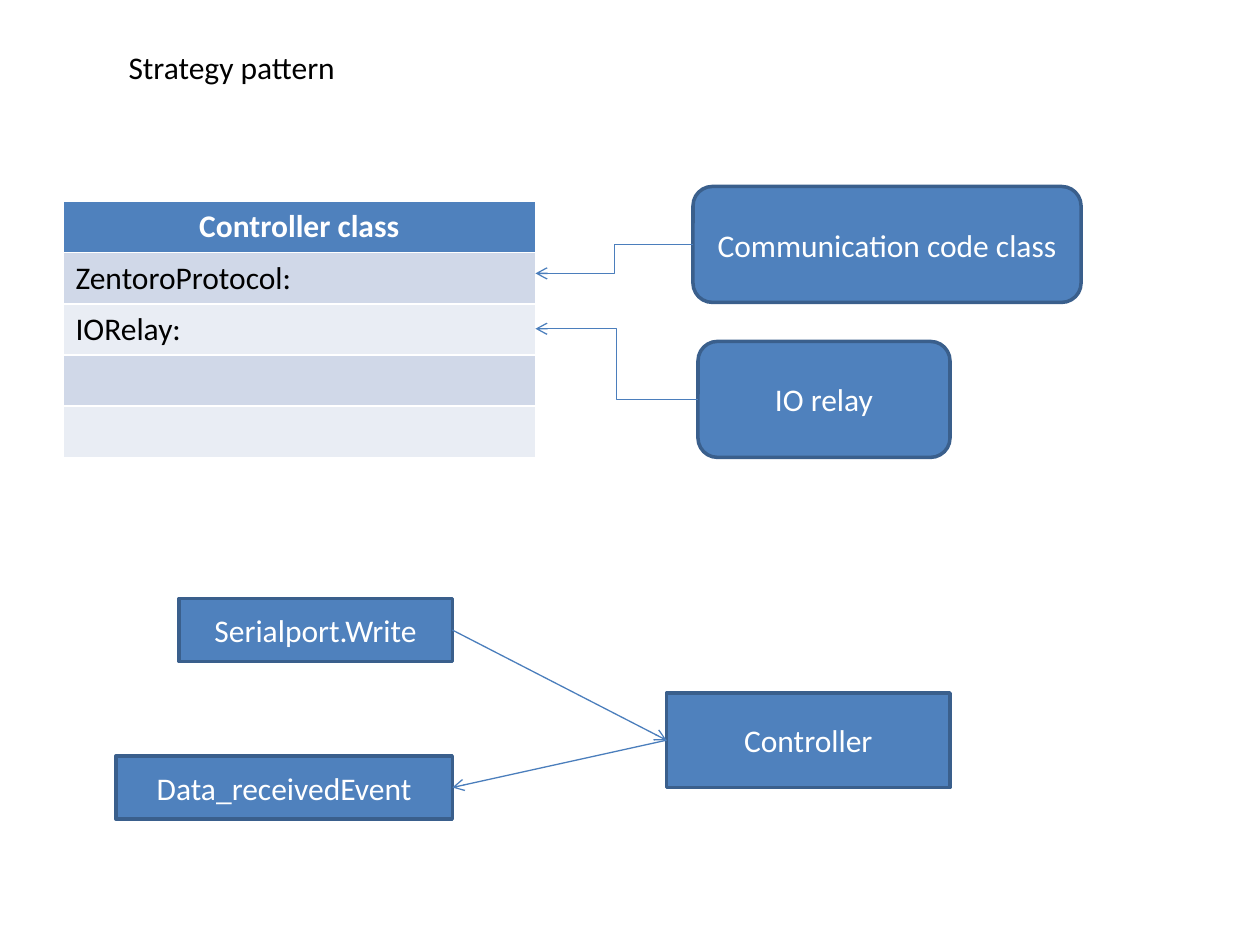
from dataclasses import dataclass
from typing import Optional

import pptx
import pptx.dml.color
import pptx.enum.shapes
import pptx.enum.text
import pptx.oxml
import pptx.oxml.ns
import pptx.util
from pptx.util import Inches

RGB = pptx.dml.color.RGBColor.from_string
SHAPE = pptx.enum.shapes.MSO_SHAPE
CONN = pptx.enum.shapes.MSO_CONNECTOR
ALIGN = pptx.enum.text.PP_ALIGN
ANCHOR = pptx.enum.text.MSO_ANCHOR


@dataclass(frozen=True)
class Theme:
    font: str = "Calibri"
    size: float = 18
    blue: str = "4F81BD"
    outline: str = "3A5F8C"
    arrow: str = "4B7EBC"
    light: str = "FFFFFF"
    dark: str = "000000"
    bands: tuple[str, str] = ("D0D8E8", "E9EDF4")
    outline_width: float = 2
    arrow_width: float = 0.75


@dataclass(frozen=True)
class Box:
    text: str
    left: float
    top: float
    width: float
    height: float
    kind: SHAPE = SHAPE.RECTANGLE

    @property
    def middle(self) -> float:
        return self.top + self.height / 2


@dataclass(frozen=True)
class Link:
    start: Box
    start_site: int
    end: Box
    end_site: int


THEME = Theme()
LEFT, RIGHT = 1, 3  # connection sites of a rectangle

# Content
COMMUNICATION = Box("Communication code class", 5.5, 1.48, 3.08, 0.92, SHAPE.ROUNDED_RECTANGLE)
RELAY = Box("IO relay", 5.54, 2.71, 2, 0.92, SHAPE.ROUNDED_RECTANGLE)
WRITE = Box("Serialport.Write", 1.42, 4.75, 2.17, 0.5)
CONTROLLER = Box("Controller", 5.29, 5.5, 2.25, 0.75)
RECEIVED = Box("Data_receivedEvent", 0.92, 6, 2.67, 0.5)
BOXES = [COMMUNICATION, RELAY, WRITE, CONTROLLER, RECEIVED]
LINKS = [Link(WRITE, RIGHT, CONTROLLER, LEFT), Link(CONTROLLER, LEFT, RECEIVED, RIGHT)]

ROWS = ["Controller class", "ZentoroProtocol:", "IORelay:", "", ""]
TABLE_LEFT, TABLE_TOP, TABLE_WIDTH, TABLE_HEIGHT = 0.5, 1.6, 3.75, 2.03
FIELD_ARROWS = [(COMMUNICATION, 2.17), (RELAY, 2.61)]


def write(tf, text: str, color: str, align: Optional[ALIGN] = ALIGN.LEFT, bold: bool = False) -> None:
    p = tf.paragraphs[0]
    p.alignment = align
    r = p.add_run()
    r.text = text
    style = {"name": THEME.font, "size": pptx.util.Pt(THEME.size), "bold": bold}
    for name, value in style.items():
        setattr(r.font, name, value)
    r.font.color.rgb = RGB(color)


def add_box(s, box: Box):
    sp = s.shapes.add_shape(box.kind, *map(Inches, (box.left, box.top, box.width, box.height)))
    sp.shadow.inherit = False
    sp.fill.solid()
    sp.fill.fore_color.rgb = RGB(THEME.blue)
    sp.line.color.rgb = RGB(THEME.outline)
    sp.line.width = pptx.util.Pt(THEME.outline_width)
    sp.text_frame.word_wrap = True
    sp.text_frame.vertical_anchor = ANCHOR.MIDDLE
    write(sp.text_frame, box.text, THEME.light, ALIGN.CENTER)
    return sp


def add_arrow(s, kind: CONN, x1: float, y1: float, x2: float, y2: float):
    cxn = s.shapes.add_connector(kind, *map(Inches, (x1, y1, x2, y2)))
    cxn.line.color.rgb = RGB(THEME.arrow)
    cxn.line.width = pptx.util.Pt(THEME.arrow_width)
    tail = pptx.oxml.parse_xml(f'<a:tailEnd {pptx.oxml.ns.nsdecls("a")} type="arrow"/>')
    cxn.line._get_or_add_ln().append(tail)
    effects = pptx.oxml.parse_xml(f'<a:effectLst {pptx.oxml.ns.nsdecls("a")}/>')
    cxn._element.spPr.append(effects)
    return cxn


def add_class_table(s) -> None:
    frame = s.shapes.add_table(
        len(ROWS), 1, *map(Inches, (TABLE_LEFT, TABLE_TOP, TABLE_WIDTH, TABLE_HEIGHT))
    )
    for i, text in enumerate(ROWS):
        cell = frame.table.cell(i, 0)
        header = i == 0
        cell.fill.solid()
        cell.fill.fore_color.rgb = RGB(THEME.blue if header else THEME.bands[(i - 1) % 2])
        if text:
            write(
                cell.text_frame,
                text,
                THEME.light if header else THEME.dark,
                ALIGN.CENTER if header else ALIGN.LEFT,
                bold=header,
            )


def add_title(s, text: str) -> None:
    title = s.shapes.title
    place = {"left": 0.92, "top": 0.33, "width": 2.5, "height": 0.4}
    for name, value in place.items():
        setattr(title, name, Inches(value))
    tf = title.text_frame
    layout = {
        "word_wrap": True,
        "auto_size": pptx.enum.text.MSO_AUTO_SIZE.NONE,
        "vertical_anchor": ANCHOR.TOP,
    }
    for name, value in layout.items():
        setattr(tf, name, value)
    write(tf, text, THEME.dark)


def main() -> None:
    prs = pptx.Presentation()
    prs.slide_width, prs.slide_height = Inches(10), Inches(7.5)
    s = prs.slides.add_slide(prs.slide_layouts[5])

    # Title, boxes and class table
    add_title(s, "Strategy pattern")
    shapes = {box: add_box(s, box) for box in BOXES}
    add_class_table(s)

    # Elbow arrows into the table's fields
    for box, field_y in FIELD_ARROWS:
        add_arrow(s, CONN.ELBOW, box.left, box.middle, TABLE_LEFT + TABLE_WIDTH, field_y)

    # Straight arrows between boxes
    for link in LINKS:
        cxn = add_arrow(s, CONN.STRAIGHT, 0, 0, 0, 0)
        cxn.begin_connect(shapes[link.start], link.start_site)
        cxn.end_connect(shapes[link.end], link.end_site)

    prs.save("out.pptx")


main()
